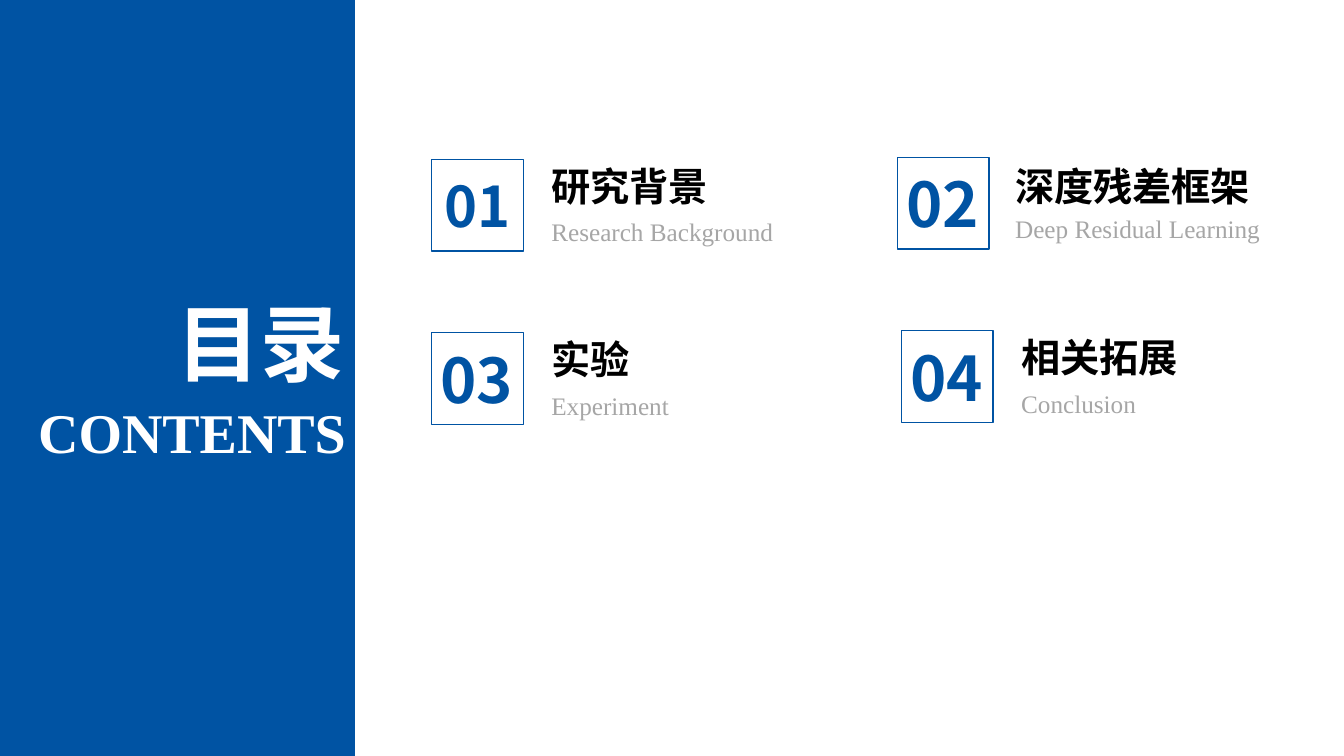
from dataclasses import dataclass

from lxml.etree import SubElement
from pptx import Presentation
from pptx.dml.color import RGBColor
from pptx.enum.shapes import MSO_SHAPE as Preset
from pptx.enum.text import MSO_AUTO_SIZE as AutoSize, PP_ALIGN as Align
from pptx.oxml.ns import qn
from pptx.shapes.autoshape import Shape
from pptx.util import Emu, Pt

EMU_PER_PX = 9144
SLIDE_WIDTH, SLIDE_HEIGHT = 1333, 750
BOX_SIDE = 91

BLUE = RGBColor(0x00, 0x53, 0xA3)
WHITE = RGBColor(0xFF, 0xFF, 0xFF)
BLACK = RGBColor(0x00, 0x00, 0x00)
GREY = RGBColor(0xA6, 0xA6, 0xA6)

SANS = "Noto Sans CJK SC"
SERIF = "Times New Roman"

HEADING = {"name": SANS, "size": Pt(60), "bold": True}
SUBHEADING = {"name": SERIF, "size": Pt(40), "bold": True}
TITLE = {"name": SANS, "size": Pt(28), "bold": True}
SUBTITLE = {"name": SERIF, "size": Pt(18), "bold": False}
NUMBER = {"name": SANS, "size": Pt(44), "bold": True}
SMALL_NUMBER = NUMBER | {"size": Pt(40)}


@dataclass(frozen=True)
class Area:
    left: int
    top: int
    width: int
    height: int

    def emu(self) -> list[Emu]:
        lengths = (self.left, self.top, self.width, self.height)
        return [Emu(length * EMU_PER_PX) for length in lengths]


@dataclass(frozen=True)
class Entry:
    number: str
    title: str
    subtitle: str
    box_left: int
    box_top: int
    text_left: int
    title_top: int
    subtitle_top: int
    subtitle_width: int = 262
    number_width: int = 98
    number_height: int = 84
    number_format: tuple = tuple(NUMBER.items())


ENTRIES = [
    Entry("01", "研究背景", "Research Background", 428, 158, 537, 156, 210,
          number_width=91, number_height=77,
          number_format=tuple(SMALL_NUMBER.items())),
    Entry("02", "深度残差框架", "Deep Residual Learning", 890, 156, 997, 156, 207,
          subtitle_width=320),
    Entry("04", "相关拓展", "Conclusion", 894, 328, 1003, 326, 380),
    Entry("03", "实验", "Experiment", 428, 330, 537, 328, 382),
]


def add_text(shapes, area: Area, text: str, format_values: dict,
             color: RGBColor, align: Align = Align.LEFT) -> None:
    frame = shapes.add_textbox(*area.emu()).text_frame
    frame.word_wrap = True
    frame.auto_size = AutoSize.SHAPE_TO_FIT_TEXT
    paragraph = frame.paragraphs[0]
    paragraph.alignment = align
    run = paragraph.add_run()
    run.text = text
    for attribute, value in format_values.items():
        setattr(run.font, attribute, value)
    run.font.color.rgb = color
    east_asian = SubElement(run.font._element, qn("a:ea"))
    east_asian.set("typeface", format_values["name"])


def add_rectangle(shapes, area: Area) -> Shape:
    shape = shapes.add_shape(Preset.RECTANGLE, *area.emu())
    shape.shadow.inherit = False
    return shape


def add_side_panel(shapes) -> None:
    panel = add_rectangle(shapes, Area(0, 0, 352, SLIDE_HEIGHT))
    panel.fill.solid()
    panel.fill.fore_color.rgb = BLUE
    panel.line.fill.background()
    add_text(shapes, Area(98, 284, 254, 111), "目录", HEADING, WHITE, Align.RIGHT)
    add_text(shapes, Area(0, 389, 353, 77), "CONTENTS", SUBHEADING, WHITE, Align.RIGHT)


def add_entry(shapes, entry: Entry) -> None:
    add_text(shapes, Area(entry.text_left, entry.title_top, 262, 57),
             entry.title, TITLE, BLACK)
    add_text(shapes, Area(entry.text_left, entry.subtitle_top, entry.subtitle_width, 40),
             entry.subtitle, SUBTITLE, GREY)
    number_area = Area(entry.box_left + (BOX_SIDE - entry.number_width) // 2,
                       entry.box_top + (BOX_SIDE - entry.number_height + 1) // 2,
                       entry.number_width, entry.number_height)
    add_text(shapes, number_area, entry.number, dict(entry.number_format),
             BLUE, Align.CENTER)
    box = add_rectangle(shapes, Area(entry.box_left, entry.box_top, BOX_SIDE, BOX_SIDE))
    box.fill.background()
    box.line.color.rgb = BLUE
    box.line.width = Pt(1)


def main() -> None:
    presentation = Presentation()
    presentation.slide_width = Emu(SLIDE_WIDTH * EMU_PER_PX)
    presentation.slide_height = Emu(SLIDE_HEIGHT * EMU_PER_PX)
    slide = presentation.slides.add_slide(presentation.slide_layouts[6])
    add_side_panel(slide.shapes)
    for entry in ENTRIES:
        add_entry(slide.shapes.add_group_shape().shapes, entry)
    presentation.save("out.pptx")


if __name__ == "__main__":
    main()
